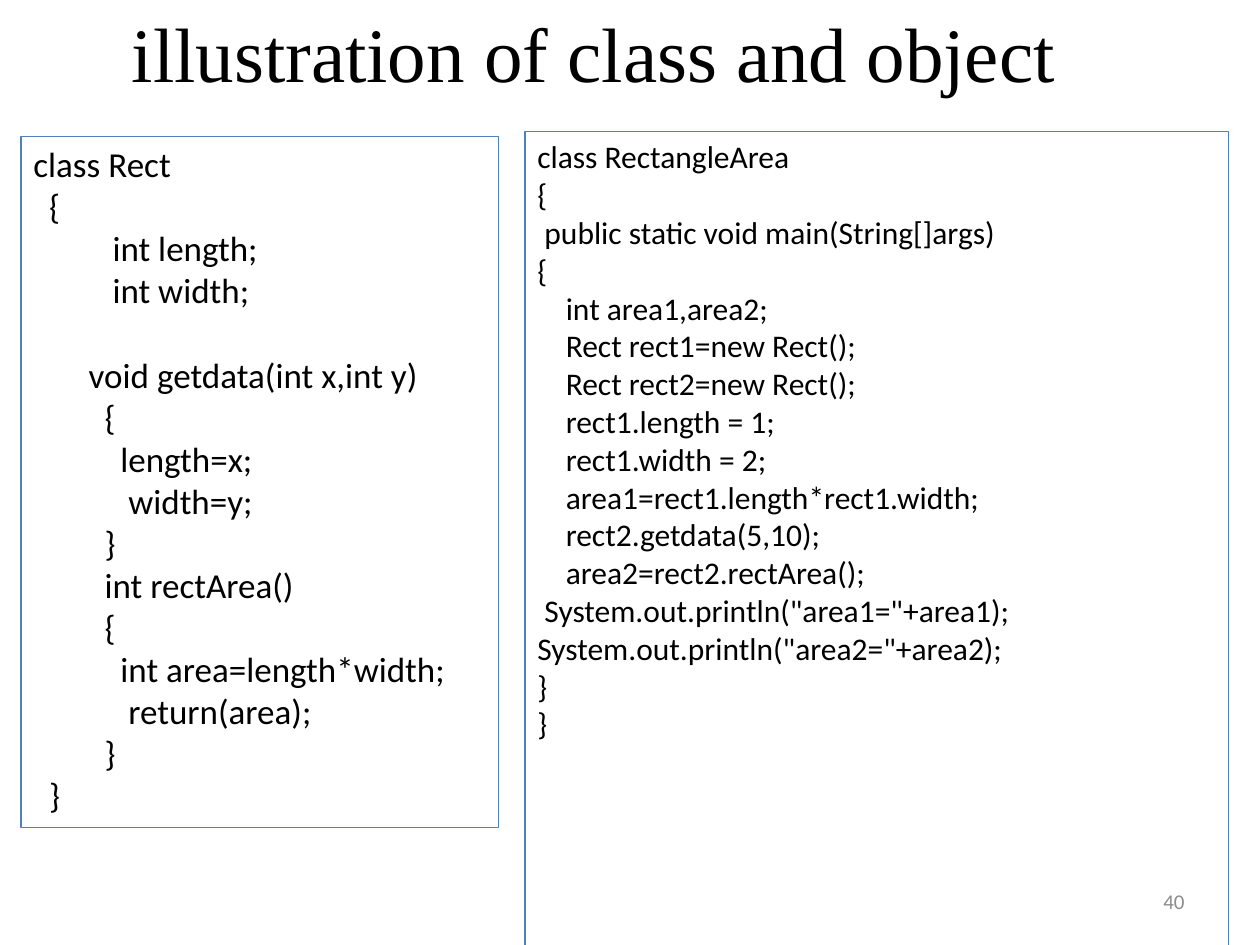
from pptx import Presentation
from pptx.dml.color import RGBColor
from pptx.enum import shapes, text
from pptx.util import Pt

BLACK = RGBColor(0, 0, 0)
BLUE = RGBColor(0x4F, 0x81, 0xBD)
GRAY = RGBColor(0x8C, 0x8C, 0x8C)
SPACE = 0.226

RECT = [
    (0, "class Rect"),
    (2, "{"),
    (10, "int length;"),
    (10, "int width;"),
    (7, "void getdata(int x,int y)"),
    (9, "{"),
    (11, "length=x;"),
    (12, "width=y;"),
    (9, "}"),
    (9, "int rectArea()"),
    (9, "{"),
    (11, "int area=length*width;"),
    (12, "return(area);"),
    (9, "}"),
    (2, "}"),
]
MAIN = [
    (0, "class RectangleArea"),
    (0, "{"),
    (1, "public static void main(String[]args)"),
    (0, "{"),
    (4, "int area1,area2;"),
    (4, "Rect rect1=new Rect();"),
    (4, "Rect rect2=new Rect();"),
    (4, "rect1.length = 1;"),
    (4, "rect1.width = 2;"),
    (4, "area1=rect1.length*rect1.width;"),
    (4, "rect2.getdata(5,10);"),
    (4, "area2=rect2.rectArea();"),
    (1, 'System.out.println("area1="+area1);'),
    (0, 'System.out.println("area2="+area2);'),
    (0, "}"),
    (0, "}"),
]


class Deck:
    body = "Calibri"
    head = "Times New Roman"

    def __init__(self, width, height):
        self.prs = Presentation()
        self.prs.slide_width, self.prs.slide_height = Pt(width), Pt(height)
        self.slide = self.prs.slides.add_slide(self.prs.slide_layouts[5])

    def style(self, par, size, color, font, align):
        par.alignment = align
        for run in par.runs:
            run.font.size = Pt(size)
            run.font.name = font
            run.font.color.rgb = color

    def title(self, words, x, y, w, h):
        box = self.slide.shapes.title
        box.left, box.top, box.width, box.height = map(Pt, (x, y, w, h))
        frame = box.text_frame
        frame.text = words
        frame.auto_size = text.MSO_AUTO_SIZE.NONE
        frame.vertical_anchor = text.MSO_ANCHOR.MIDDLE
        self.style(frame.paragraphs[0], 44, BLACK, self.head, text.PP_ALIGN.CENTER)

    def code(self, lines, size, x, y, w, h, gap=None):
        box = self.slide.shapes.add_shape(
            shapes.MSO_SHAPE.RECTANGLE, *map(Pt, (x, y, w, h)))
        box.shadow.inherit = False
        box.fill.background()
        box.line.color.rgb = BLUE
        box.line.width = Pt(0.75)
        frame = box.text_frame
        frame.word_wrap = True
        frame.vertical_anchor = text.MSO_ANCHOR.TOP
        frame.text = "\n".join(line for _, line in lines)
        for row, (par, (depth, _)) in enumerate(zip(frame.paragraphs, lines)):
            self.style(par, size, BLACK, self.body, text.PP_ALIGN.LEFT)
            par._p.get_or_add_pPr().set("marL", str(int(Pt(depth * size * SPACE))))
            if row == gap:
                par.space_before = Pt(size * 1.22)

    def number(self, words, x, y, w, h):
        box = self.slide.shapes.add_textbox(*map(Pt, (x, y, w, h)))
        frame = box.text_frame
        frame.word_wrap = True
        frame.vertical_anchor = text.MSO_ANCHOR.MIDDLE
        frame.text = words
        self.style(frame.paragraphs[0], 12, GRAY, self.body, text.PP_ALIGN.RIGHT)


deck = Deck(720, 540)
deck.code(RECT, 20, 12, 78, 273, 395, gap=4)
deck.title("illustration of class and object ", 39, 0, 612, 59)
deck.number("40", 516, 500.5, 168, 28.75)
deck.code(MAIN, 18, 300, 75, 402, 472)
deck.prs.save("out.pptx")
